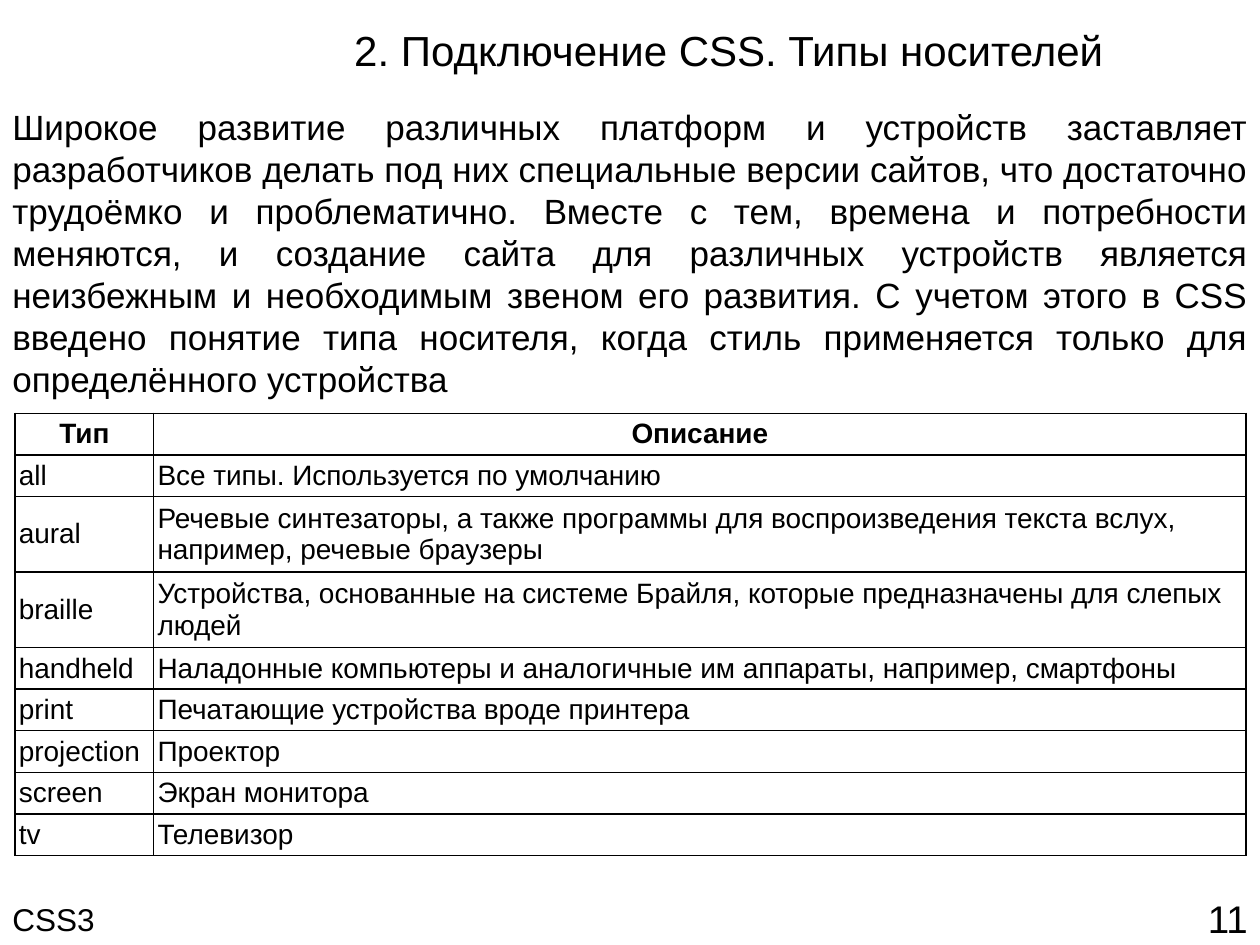
from lxml import etree
from pptx import Presentation
from pptx.dml.color import RGBColor
from pptx.enum.text import MSO_ANCHOR as Anchor, PP_ALIGN as Align
from pptx.oxml.ns import qn
from pptx.util import Inches, Pt

BLACK = RGBColor(0x00, 0x00, 0x00)
WHITE = RGBColor(0xFF, 0xFF, 0xFF)

TITLE = "2. Подключение CSS. Типы носителей"
INTRO = (
    "Широкое развитие различных платформ и устройств заставляет "
    "разработчиков делать под них специальные версии сайтов, что достаточно "
    "трудоёмко и проблематично. Вместе с тем, времена и потребности "
    "меняются, и создание сайта для различных устройств является "
    "неизбежным и необходимым звеном его развития. С учетом этого в CSS "
    "введено понятие типа носителя, когда стиль применяется только для "
    "определённого устройства"
)
MEDIA_TYPES = [
    ("Тип", "Описание"),
    ("all", "Все типы. Используется по умолчанию"),
    ("aural", "Речевые синтезаторы, а также программы для воспроизведения "
              "текста вслух, например, речевые браузеры"),
    ("braille", "Устройства, основанные на системе Брайля, которые "
                "предназначены для слепых людей"),
    ("handheld", "Наладонные компьютеры и аналогичные им аппараты, "
                 "например, смартфоны"),
    ("print", "Печатающие устройства вроде принтера"),
    ("projection", "Проектор"),
    ("screen", "Экран монитора"),
    ("tv", "Телевизор"),
]
COLUMN_WIDTHS = (1.1, 8.67)
ROW_HEIGHT, TALL_ROW_HEIGHT = 0.33, 0.6
TALL_ROWS = ("aural", "braille")


class SlideBuilder:
    font = "Arial"
    color = BLACK
    cell_margin = Inches(0.03)

    def __init__(self, prs):
        self.s = prs.slides.add_slide(prs.slide_layouts[5])

    def set_text(self, tf, text, size, align, bold=False):
        tf.text = text
        p = tf.paragraphs[0]
        p.alignment = align
        r = p.runs[0]
        r.font.name = self.font
        r.font.size = Pt(size)
        r.font.bold = bold
        r.font.color.rgb = self.color

    def title(self, text, left, top, width, height, size):
        sp = self.s.shapes.title
        sp.left, sp.top = Inches(left), Inches(top)
        sp.width, sp.height = Inches(width), Inches(height)
        sp.text_frame.vertical_anchor = Anchor.MIDDLE
        self.set_text(sp.text_frame, text, size, Align.CENTER)

    def text(self, text, left, top, width, height, size,
             align=Align.LEFT, anchor=Anchor.TOP):
        sp = self.s.shapes.add_textbox(
            Inches(left), Inches(top), Inches(width), Inches(height))
        tf = sp.text_frame
        tf.word_wrap = True
        tf.vertical_anchor = anchor
        self.set_text(tf, text, size, align)

    def borders(self, cell):
        tcPr = cell._tc.get_or_add_tcPr()
        for i, side in enumerate(("a:lnL", "a:lnR", "a:lnT", "a:lnB")):
            ln = etree.Element(qn(side), w=str(Pt(1)))
            fill = etree.SubElement(ln, qn("a:solidFill"))
            etree.SubElement(fill, qn("a:srgbClr"), val=str(self.color))
            tcPr.insert(i, ln)

    def table(self, rows, left, top, widths, heights, size):
        frame = self.s.shapes.add_table(
            len(rows), len(widths), Inches(left), Inches(top),
            Inches(sum(widths)), Inches(sum(heights)))
        table = frame.table
        for column, width in zip(table.columns, widths):
            column.width = Inches(width)
        for row, height in zip(table.rows, heights):
            row.height = Inches(height)
        for i, values in enumerate(rows):
            header = i == 0
            for j, value in enumerate(values):
                cell = table.cell(i, j)
                cell.fill.solid()
                cell.fill.fore_color.rgb = WHITE
                cell.vertical_anchor = Anchor.MIDDLE
                cell.margin_left = cell.margin_right = self.cell_margin
                cell.margin_top = cell.margin_bottom = self.cell_margin
                self.set_text(cell.text_frame, value, size,
                              Align.CENTER if header else Align.LEFT, header)
                self.borders(cell)


def main():
    prs = Presentation()
    prs.slide_width, prs.slide_height = Inches(10), Inches(7.5)
    slide = SlideBuilder(prs)
    slide.title(TITLE, 1.57, 0, 8.43, 0.79, 24)
    slide.text(INTRO, 0, 0.79, 10, 2.46, 20, Align.JUSTIFY)
    heights = [TALL_ROW_HEIGHT if name in TALL_ROWS else ROW_HEIGHT
               for name, _ in MEDIA_TYPES]
    slide.table(MEDIA_TYPES, 0.12, 3.28, COLUMN_WIDTHS, heights, 16)
    slide.text("11", 9.21, 7.09, 0.79, 0.39, 22, Align.RIGHT, Anchor.MIDDLE)
    slide.text("CSS3", 0, 7.09, 9.21, 0.4, 18)
    prs.save("out.pptx")


if __name__ == "__main__":
    main()
